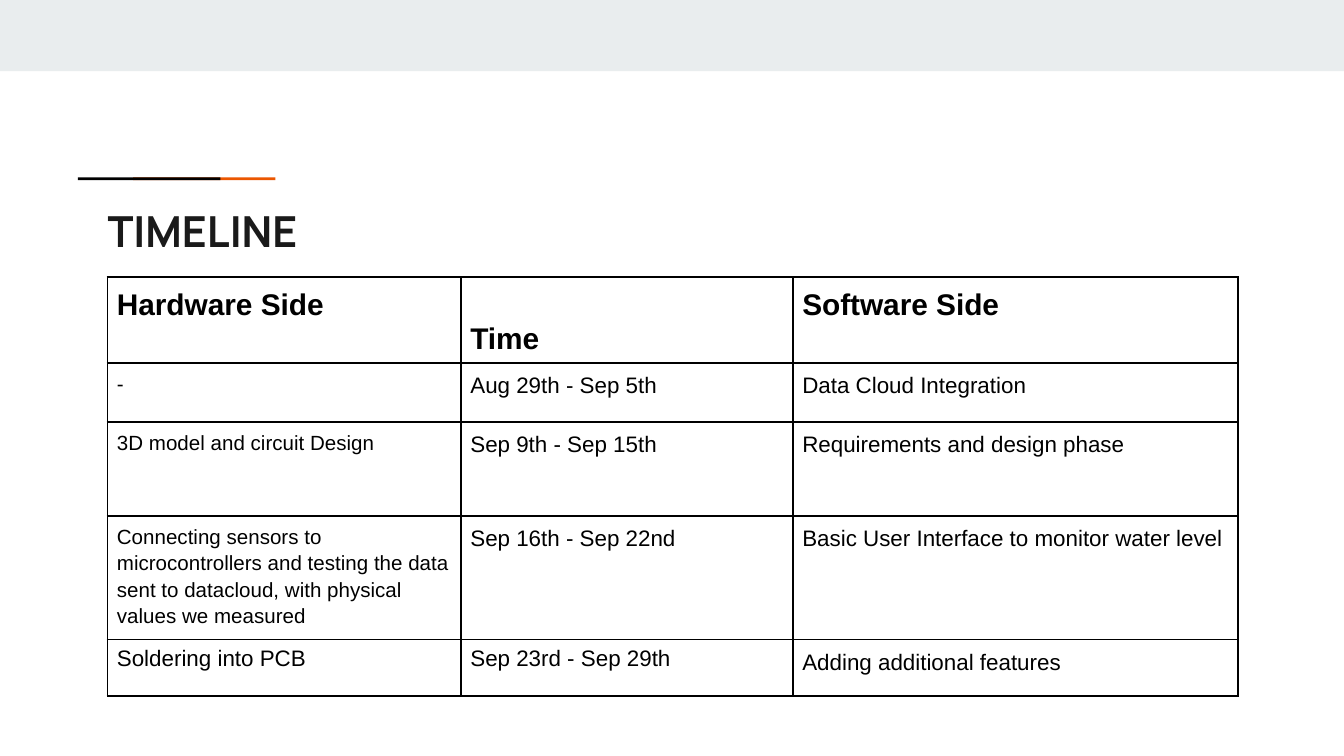
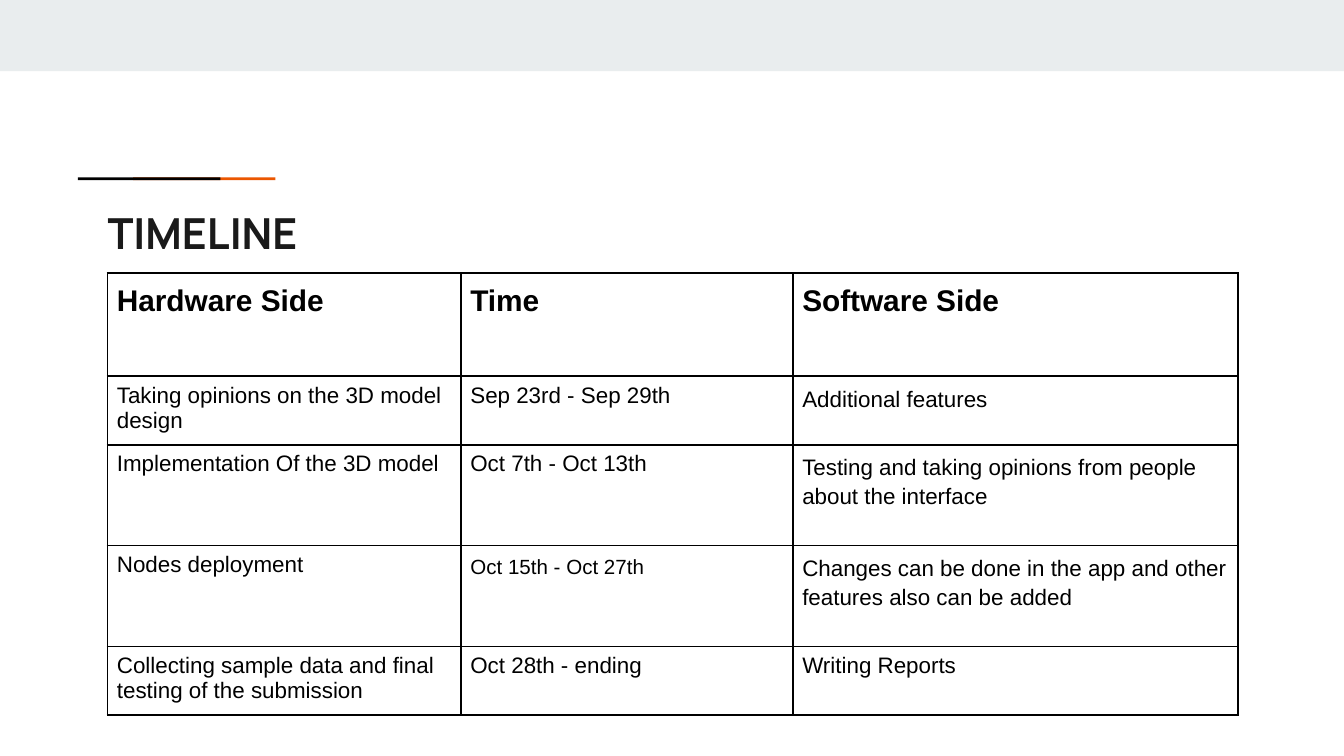
from dataclasses import dataclass

from lxml.etree import SubElement
from pptx import Presentation
from pptx.dml.color import RGBColor
from pptx.enum.shapes import MSO_SHAPE
from pptx.enum.text import MSO_ANCHOR, MSO_AUTO_SIZE, PP_ALIGN
from pptx.oxml.ns import qn
from pptx.util import Inches, Pt

SLIDE_W = 10
SLIDE_H = SLIDE_W * 9 / 16
MARGIN = 0.08 * SLIDE_W
COLUMNS = (2.63, 2.47, 3.31)
COLORS = {
    "band": "E9EDEE",
    "accent": "EB5600",
    "ink": "000000",
    "title": "1A1A1A",
}
TITLE_FONT, BODY_FONT = "Manrope", "Arial"
BORDER_WIDTH = Pt(0.96)


@dataclass
class Entry:
    """Text of one table cell with its type setting."""
    text: str
    size: float = 12
    spacing: float = 1.15
    bold: bool = False
    anchor: MSO_ANCHOR = MSO_ANCHOR.TOP


def heading(text, **changes):
    return Entry(text, size=16, bold=True, **changes)


def small(text):
    return Entry(text, size=11)


def tight(text):
    return Entry(text, spacing=1)


TIMELINES = [
    {
        "title_top": 1.42,
        "table_top": 2.06,
        "row_heights": (0.64, 0.44, 0.7, 0.92, 0.42),
        "entries": [
            (heading("Hardware Side"),
             heading("Time", spacing=1, anchor=MSO_ANCHOR.BOTTOM),
             heading("Software Side")),
            (small("-"), Entry("Aug 29th - Sep 5th"), Entry("Data Cloud Integration")),
            (small("3D model and circuit Design"), Entry("Sep 9th - Sep 15th"),
             Entry("Requirements and design phase")),
            (small("Connecting sensors to microcontrollers and testing the data "
                   "sent to datacloud, with physical values we measured"),
             Entry("Sep 16th - Sep 22nd"),
             Entry("Basic User Interface to monitor water level")),
            (tight("Soldering into PCB"), tight("Sep 23rd - Sep 29th"),
             Entry("Adding additional features")),
        ],
    },
    {
        "title_top": 1.44,
        "table_top": 2.03,
        "row_heights": (0.77, 0.51, 0.75, 0.75, 0.51),
        "entries": [
            (heading("Hardware Side"), heading("Time"), heading("Software Side")),
            (tight("Taking opinions on the 3D model design"),
             tight("Sep 23rd - Sep 29th"), Entry("Additional features")),
            (tight("Implementation Of the 3D model"), tight("Oct 7th - Oct 13th"),
             Entry("Testing and taking opinions from people about the interface")),
            (tight("Nodes deployment"), small("Oct 15th - Oct 27th"),
             Entry("Changes can be done in the app and other features also can be added")),
            (tight("Collecting sample data and final testing of the submission"),
             tight("Oct 28th - ending"), tight("Writing Reports")),
        ],
    },
]


def color(name):
    return RGBColor.from_string(COLORS[name])


def add_bar(slide, fill, left, top, width, height):
    bar = slide.shapes.add_shape(
        MSO_SHAPE.RECTANGLE, Inches(left), Inches(top), Inches(width), Inches(height))
    bar.shadow.inherit = False
    bar.fill.solid()
    bar.fill.fore_color.rgb = color(fill)
    bar.line.fill.background()


def add_header(slide):
    """Top band and the two-coloured rule above the title."""
    add_bar(slide, "band", 0, 0, SLIDE_W, 0.53)
    rule_left, rule_top, rule_width = 0.58, 1.32, 1.06
    for fill, offset in (("accent", 0.41), ("ink", 0)):
        add_bar(slide, fill, rule_left + offset, rule_top, rule_width, 0.02)


def set_font(paragraph, name, size, ink, bold):
    font = paragraph.font
    font.name, font.size, font.bold = name, Pt(size), bold
    font.color.rgb = color(ink)


def place_title(slide, text, top):
    title = slide.shapes.title
    title.left, title.top = Inches(MARGIN), Inches(top)
    title.width, title.height = Inches(sum(COLUMNS)), Inches(0.59)
    frame = title.text_frame
    frame.text = text
    frame.auto_size = MSO_AUTO_SIZE.NONE
    frame.vertical_anchor = MSO_ANCHOR.TOP
    frame.margin_left = frame.margin_right = 0
    frame.margin_top = frame.margin_bottom = Inches(0.1)
    paragraph = frame.paragraphs[0]
    paragraph.alignment = PP_ALIGN.LEFT
    set_font(paragraph, TITLE_FONT, 22.9, "title", True)


def add_borders(cell):
    properties = cell._tc.get_or_add_tcPr()
    for position, side in enumerate(("lnL", "lnR", "lnT", "lnB")):
        line = SubElement(properties, qn(f"a:{side}"), w=str(int(BORDER_WIDTH)))
        fill = SubElement(line, qn("a:solidFill"))
        SubElement(fill, qn("a:srgbClr"), val=COLORS["ink"])
        properties.insert(position, line)


def fill_cell(cell, entry):
    cell.text = entry.text
    cell.vertical_anchor = entry.anchor
    cell.margin_left = cell.margin_right = Inches(0.07)
    cell.margin_top = cell.margin_bottom = Inches(0.05)
    cell.fill.background()
    add_borders(cell)
    paragraph = cell.text_frame.paragraphs[0]
    paragraph.line_spacing = float(entry.spacing)
    set_font(paragraph, BODY_FONT, entry.size, "ink", entry.bold)


def add_schedule(slide, top, row_heights, entries):
    table = slide.shapes.add_table(
        len(row_heights), len(COLUMNS), Inches(MARGIN), Inches(top),
        Inches(sum(COLUMNS)), Inches(sum(row_heights))).table
    table.first_row = table.horz_banding = False
    for column, width in zip(table.columns, COLUMNS):
        column.width = Inches(width)
    for row, height, row_entries in zip(table.rows, row_heights, entries):
        row.height = Inches(height)
        for cell, entry in zip(row.cells, row_entries):
            fill_cell(cell, entry)


def add_timeline_slide(deck, title_top, table_top, row_heights, entries):
    title_only = deck.slide_layouts[5]
    slide = deck.slides.add_slide(title_only)
    add_header(slide)
    place_title(slide, "TIMELINE", title_top)
    add_schedule(slide, table_top, row_heights, entries)


def main():
    deck = Presentation()
    deck.slide_width, deck.slide_height = Inches(SLIDE_W), Inches(SLIDE_H)
    for timeline in TIMELINES:
        add_timeline_slide(deck, **timeline)
    deck.save("out.pptx")


if __name__ == "__main__":
    main()
